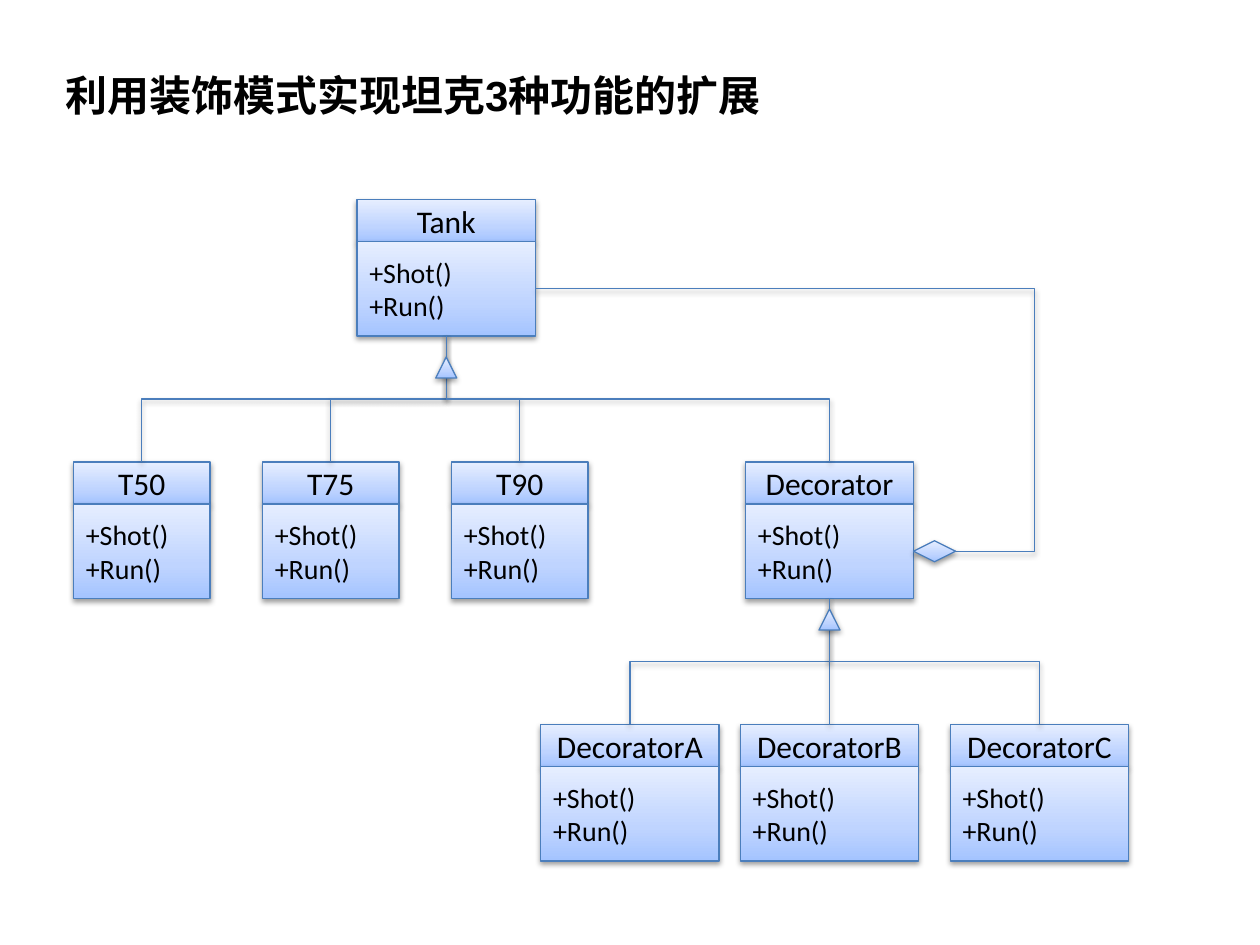
"""Build a class diagram slide for the decorator pattern."""
from copy import deepcopy
from dataclasses import dataclass

from lxml.etree import SubElement
from pptx import Presentation
from pptx.dml.color import RGBColor
from pptx.enum.shapes import MSO_CONNECTOR, MSO_SHAPE
from pptx.enum.text import MSO_ANCHOR, MSO_AUTO_SIZE, PP_ALIGN
from pptx.oxml.ns import qn
from pptx.util import Inches, Pt

COLS, ROWS = 120, 90
WIDE, TALL = Inches(10), Inches(7.5)
HEAD, BODY = 4, 9
TOP, LEFT, BASE, RIGHT = range(4)
HUES = {"line": "4B7EBC", "text": "000000", "low": "A4C4FF", "mid": "BFD4FF", "high": "E6EEFF"}
STOPS = (("low", 0), ("mid", 0.35), ("high", 1))
FONTS = {
    "title": {"name": "Arial", "size": Pt(24), "bold": True},
    "head": {"name": "Calibri", "size": Pt(18)},
    "body": {"name": "Calibri", "size": Pt(16)},
}
CALLS = ("+Shot()", "+Run()")


@dataclass
class Node:
    name: str
    col: float
    row: float
    span: float


@dataclass
class Mark:
    kind: MSO_SHAPE
    col: float
    row: float
    span: float


TANK = Node("Tank", 34, 19, 17)
MODELS = [Node(f"T{num}", 7 + 18 * i, 44, 13) for i, num in enumerate((50, 75, 90))]
DECOR = Node("Decorator", 71, 44, 16)
KINDS = [Node(f"Decorator{mark}", col, 69, 17) for mark, col in zip("ABC", (51.5, 70.5, 90.5))]
MARKS = [
    Mark(MSO_SHAPE.FLOWCHART_EXTRACT, 41.5, 34, 2),
    Mark(MSO_SHAPE.FLOWCHART_DECISION, 87, 51.5, 4),
    Mark(MSO_SHAPE.FLOWCHART_EXTRACT, 78, 58, 2),
]


def across(cols: float) -> int:
    return int(WIDE * cols / COLS)


def down(rows: float) -> int:
    return int(TALL * rows / ROWS)


def tint(key: str) -> RGBColor:
    return RGBColor.from_string(HUES[key])


def shade(item) -> None:
    item.line.color.rgb = tint("line")
    item.line.width = Pt(0.75)
    props = item._element.spPr
    glow = SubElement(SubElement(props, qn("a:effectLst")), qn("a:outerShdw"),
                      blurRad="40000", dist="20000", dir="5400000", rotWithShape="0")
    black = SubElement(glow, qn("a:srgbClr"), val=HUES["text"])
    SubElement(black, qn("a:alpha"), val="38000")


def add_form(shapes, kind: MSO_SHAPE, col: float, row: float, span: float, rise: float):
    form = shapes.add_shape(kind, across(col), down(row), across(span), down(rise))
    form.fill.gradient()
    form.fill.gradient_angle = 90
    first = form._element.spPr.find(".//" + qn("a:gs"))
    first.addnext(deepcopy(first))
    for stop, (key, place) in zip(form.fill.gradient_stops, STOPS):
        stop.color.rgb = tint(key)
        stop.position = place
    shade(form)
    return form


def write(form, lines: tuple, style: str, align: PP_ALIGN, anchor: MSO_ANCHOR) -> None:
    frame = form.text_frame
    frame.word_wrap = True
    frame.vertical_anchor = anchor
    frame.text = "\n".join(lines)
    for para in frame.paragraphs:
        para.alignment = align
        for key, value in FONTS[style].items():
            setattr(para.font, key, value)
        para.font.color.rgb = tint("text")


def add_node(shapes, node: Node) -> tuple:
    group = shapes.add_group_shape()
    head = add_form(group.shapes, MSO_SHAPE.RECTANGLE, node.col, node.row, node.span, HEAD)
    body = add_form(group.shapes, MSO_SHAPE.RECTANGLE, node.col, node.row + HEAD, node.span, BODY)
    write(head, (node.name,), "head", PP_ALIGN.CENTER, MSO_ANCHOR.MIDDLE)
    write(body, CALLS, "body", PP_ALIGN.LEFT, MSO_ANCHOR.MIDDLE)
    return head, body


def join(shapes, start, end, sides: tuple, kind: MSO_CONNECTOR):
    link = shapes.add_connector(kind, 0, 0, 0, 0)
    link.begin_connect(start, sides[0])
    link.end_connect(end, sides[1])
    shade(link)
    return link


def branch(shapes, start, end) -> None:
    gap = end.left + end.width // 2 - start.left - start.width // 2
    if abs(gap) < Pt(1):
        join(shapes, start, end, (BASE, TOP), MSO_CONNECTOR.STRAIGHT)
        return
    link = join(shapes, start, end, (BASE, TOP), MSO_CONNECTOR.ELBOW)
    mid = (link.begin_x + link.end_x) // 2
    half = (link.begin_y + link.end_y) // 2
    rise = end.top - start.top - start.height
    frame = link._element.spPr.find(qn("a:xfrm"))
    for key in ("flipH", "flipV"):
        frame.attrib.pop(key, None)
    link.left, link.top = mid - rise // 2, half - abs(gap) // 2
    link.width, link.height = rise, abs(gap)
    frame.set("rot", "5400000" if gap < 0 else "16200000")
    if gap > 0:
        frame.set("flipH", "1")


def loop(shapes, start, end, reach: float) -> None:
    link = join(shapes, start, end, (RIGHT, RIGHT), MSO_CONNECTOR.ELBOW)
    guides = link._element.spPr.find(".//" + qn("a:avLst"))
    SubElement(guides, qn("a:gd"), name="adj1", fmla=f"val {int(reach * 100000)}")


def main() -> None:
    deck = Presentation()
    deck.slide_width, deck.slide_height = WIDE, TALL
    slide = deck.slides.add_slide(deck.slide_layouts[5])
    shapes = slide.shapes
    title = shapes.title
    title.left, title.top, title.width, title.height = across(5), down(6), across(69.6), down(6)
    write(title, ("利用装饰模式实现坦克3种功能的扩展",), "title", PP_ALIGN.LEFT, MSO_ANCHOR.TOP)
    title.text_frame.auto_size = MSO_AUTO_SIZE.SHAPE_TO_FIT_TEXT

    tank = add_node(shapes, TANK)[1]
    models = [add_node(shapes, node)[0] for node in MODELS]
    crown, decor = add_node(shapes, DECOR)
    for head in (*models, crown):
        branch(shapes, tank, head)
    kinds = [add_node(shapes, node)[0] for node in KINDS]
    for head in kinds:
        branch(shapes, decor, head)
    loop(shapes, tank, decor, 1.32)
    for mark in MARKS:
        add_form(shapes, mark.kind, mark.col, mark.row, mark.span, 2)
    deck.save("out.pptx")


if __name__ == "__main__":
    main()
